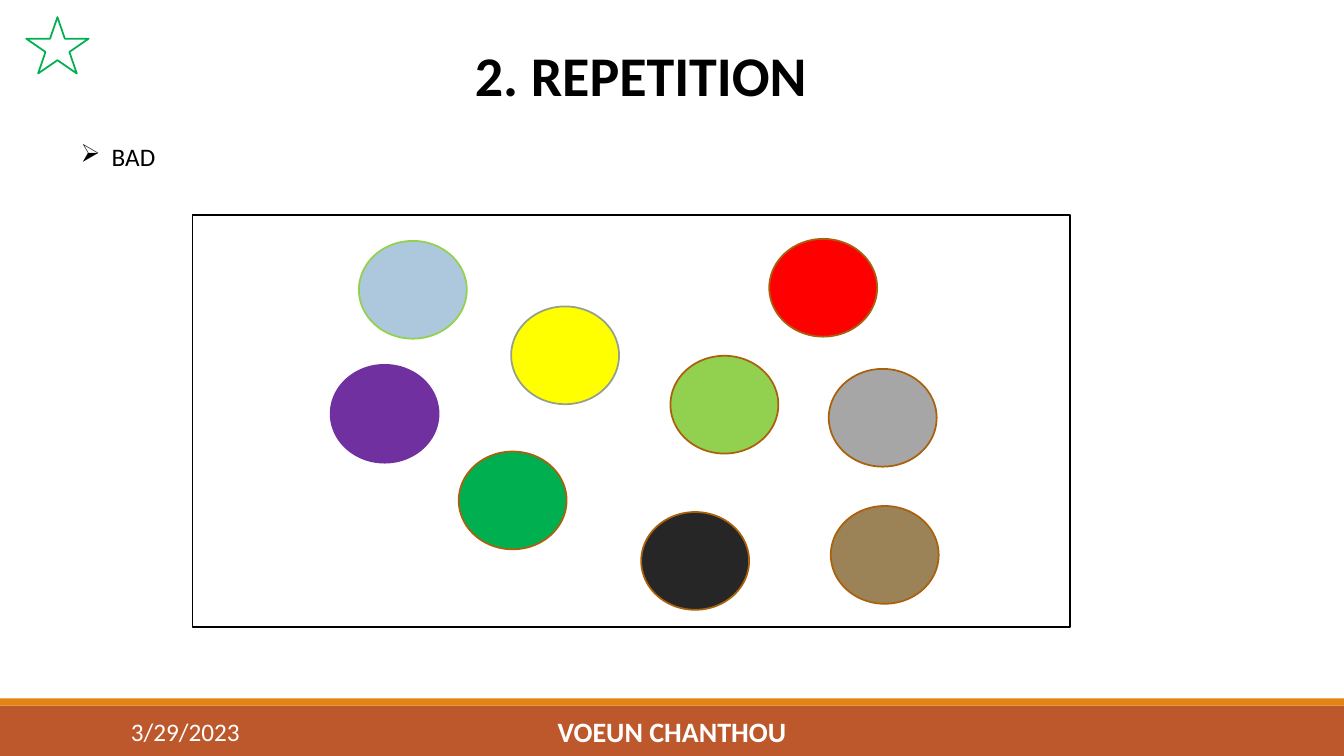
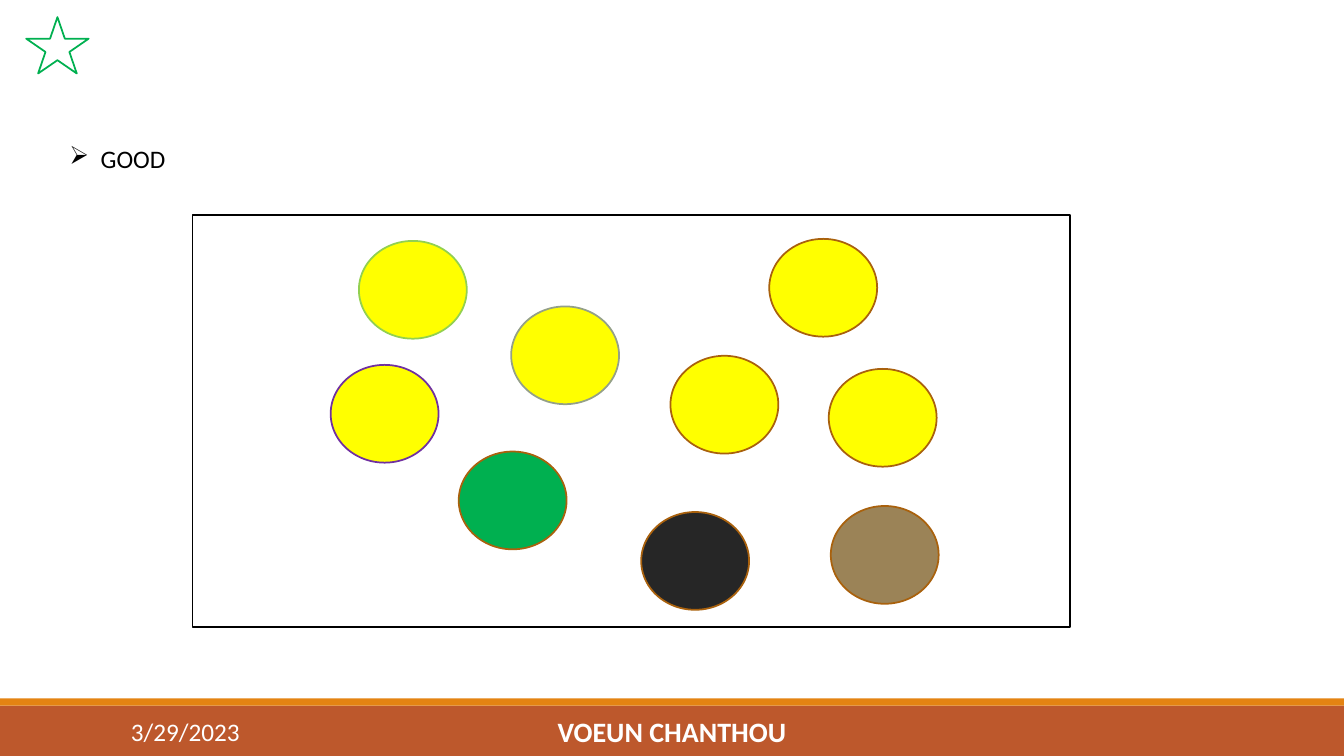
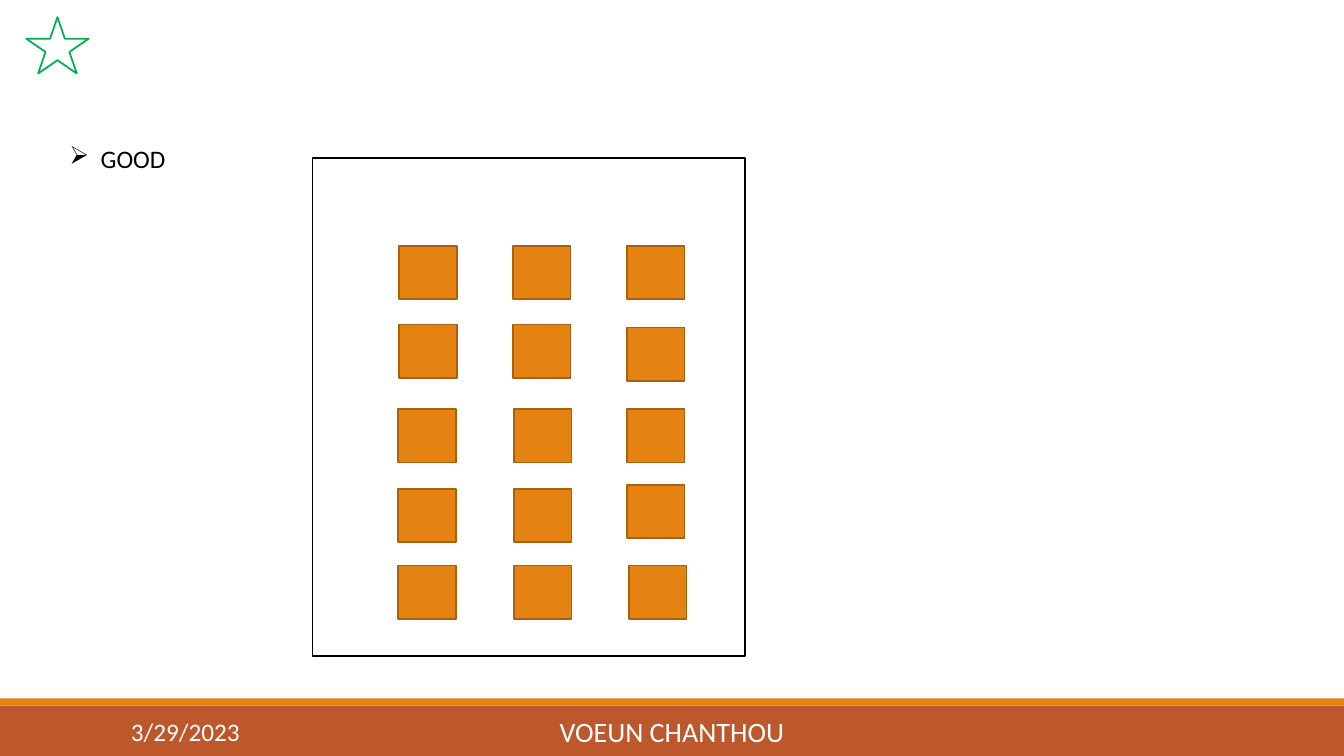
from dataclasses import dataclass
from typing import NamedTuple

from lxml import etree
from pptx import Presentation
from pptx.dml.color import RGBColor
from pptx.enum.shapes import MSO_SHAPE
from pptx.enum.text import MSO_ANCHOR, MSO_AUTO_SIZE, PP_ALIGN
from pptx.oxml.ns import qn
from pptx.shapes.autoshape import Shape
from pptx.slide import Slide
from pptx.util import Inches, Pt

RECTANGLE, OVAL, STAR = MSO_SHAPE.RECTANGLE, MSO_SHAPE.OVAL, MSO_SHAPE.STAR_5_POINT
LEFT, CENTER = PP_ALIGN.LEFT, PP_ALIGN.CENTER
TOP, MIDDLE = MSO_ANCHOR.TOP, MSO_ANCHOR.MIDDLE
FIT_SHAPE, NO_FIT = MSO_AUTO_SIZE.SHAPE_TO_FIT_TEXT, MSO_AUTO_SIZE.NONE
TITLE_ONLY, BLANK = 5, 6


@dataclass(frozen=True)
class Theme:
    """Colours, font, type sizes and line width of the deck."""

    font: str = "Calibri"
    title_size: float = 40
    name_size: float = 20
    body_size: float = 18
    line_width: float = 1.25
    white: str = "FFFFFF"
    black: str = "000000"
    rust: str = "BD582C"
    orange: str = "E48312"
    brown: str = "A9610D"
    green: str = "00B050"
    lime: str = "92D050"
    yellow: str = "FFFF00"
    purple: str = "7030A0"
    sage: str = "94A088"
    khaki: str = "9B8357"
    charcoal: str = "262626"
    gray: str = "A6A6A6"
    sky: str = "ADC8DD"
    red: str = "FF0000"


THEME = Theme()


class Area(NamedTuple):
    """Left, top, width and height in inches."""

    left: float
    top: float
    width: float
    height: float


class Circle(NamedTuple):
    """A circle's place, its colours and whether it joins the repetition."""

    left: float
    top: float
    fill: str
    line: str
    repeats: bool


class SquareRow(NamedTuple):
    """Left and top edges of the squares in one row."""

    lefts: tuple[float, ...]
    tops: tuple[float, ...]


CIRCLE_SIZE = (1.07, 0.97)
SQUARE_SIZE = (0.57, 0.53)
CIRCLE_FRAME = Area(1.91, 2.13, 8.7, 4.09)
SQUARE_FRAME = Area(3.1, 1.57, 4.29, 4.94)
BAD_AREA = Area(0.7, 1.35, 1.98, 0.4)
GOOD_AREA = Area(0.59, 1.37, 1.83, 0.4)

CIRCLES = (
    Circle(4.55, 4.48, THEME.green, THEME.brown, False),
    Circle(8.24, 5.02, THEME.khaki, THEME.brown, False),
    Circle(6.36, 5.08, THEME.charcoal, THEME.brown, False),
    Circle(8.22, 3.66, THEME.gray, THEME.brown, True),
    Circle(3.28, 3.62, THEME.purple, THEME.purple, True),
    Circle(3.56, 2.39, THEME.sky, THEME.lime, True),
    Circle(5.07, 3.04, THEME.yellow, THEME.sage, True),
    Circle(6.65, 3.53, THEME.lime, THEME.brown, True),
    Circle(7.63, 2.37, THEME.red, THEME.brown, True),
)

SQUARE_ROWS = (
    SquareRow((3.96, 5.09, 6.22), (2.44, 2.44, 2.44)),
    SquareRow((3.96, 5.09, 6.22), (3.22, 3.22, 3.25)),
    SquareRow((3.95, 5.1, 6.22), (4.06, 4.06, 4.06)),
    SquareRow((3.95, 5.1, 6.22), (4.85, 4.85, 4.81)),
    SquareRow((3.95, 5.1, 6.24), (5.61, 5.61, 5.61)),
)


def draw_shape(page: Slide, kind: MSO_SHAPE, area: Area, fill: str, line: str = "") -> None:
    """Draw a filled shape, outlined when a line colour is given."""
    shape = page.shapes.add_shape(kind, *map(Inches, area))
    shape.shadow.inherit = False
    shape.fill.solid()
    shape.fill.fore_color.rgb = RGBColor.from_string(fill)
    if line:
        shape.line.color.rgb = RGBColor.from_string(line)
        shape.line.width = Pt(THEME.line_width)
    else:
        shape.line.fill.background()


def write_text(box: Shape, text: str, *, size: float, color: str = THEME.black,
               bold: bool = False, align: PP_ALIGN = LEFT,
               anchor: MSO_ANCHOR = TOP, fit: MSO_AUTO_SIZE = FIT_SHAPE) -> None:
    """Write one formatted paragraph into a box."""
    frame = box.text_frame
    frame.word_wrap = True
    frame.auto_size = fit
    frame.vertical_anchor = anchor
    para = frame.paragraphs[0]
    para.alignment = align
    span = para.add_run()
    span.text = text
    span.font.name = THEME.font
    span.font.size = Pt(size)
    span.font.bold = bold
    span.font.color.rgb = RGBColor.from_string(color)


def add_box(page: Slide, area: Area) -> Shape:
    """Add an empty text box."""
    return page.shapes.add_textbox(*map(Inches, area))


def draw_bullet(page: Slide, area: Area, text: str) -> None:
    """Draw a line of text with an arrowhead bullet."""
    box = add_box(page, area)
    write_text(box, text, size=THEME.body_size)
    properties = box.text_frame.paragraphs[0]._p.get_or_add_pPr()
    indent = Inches(0.31)
    properties.set("marL", str(indent))
    properties.set("indent", str(-indent))
    etree.SubElement(properties, qn("a:buChar")).set("char", "\u27a2")


def draw_title(page: Slide, text: str) -> None:
    """Place and write the title placeholder."""
    title = page.shapes.title
    title.left, title.top, title.width, title.height = map(
        Inches, Area(4.61, 0.35, 3.58, 0.77))
    write_text(title, text, size=THEME.title_size, bold=True)


def draw_furniture(page: Slide, bold_name: bool) -> None:
    """Draw the footer bands, date, name and corner star."""
    draw_shape(page, RECTANGLE, Area(0, 7, 13.33, 0.5), THEME.rust)
    draw_shape(page, RECTANGLE, Area(0, 6.93, 13.33, 0.07), THEME.orange)
    write_text(add_box(page, Area(1.2, 7.06, 2.7, 0.4)), "3/29/2023",
               size=THEME.body_size, color=THEME.white, anchor=MIDDLE, fit=NO_FIT)
    write_text(add_box(page, Area(4.03, 7.06, 5.27, 0.4)), "VOEUN CHANTHOU",
               size=THEME.name_size, color=THEME.white, bold=bold_name,
               align=CENTER, anchor=MIDDLE, fit=NO_FIT)
    draw_shape(page, STAR, Area(0.26, 0.17, 0.62, 0.56), THEME.white, THEME.green)


def draw_circles(page: Slide, repeated_fill: str = "") -> None:
    """Draw the framed circles, giving the repeating ones a shared fill."""
    draw_shape(page, RECTANGLE, CIRCLE_FRAME, THEME.white, THEME.black)
    for circle in CIRCLES:
        fill = repeated_fill if repeated_fill and circle.repeats else circle.fill
        draw_shape(page, OVAL, Area(circle.left, circle.top, *CIRCLE_SIZE),
                   fill, circle.line)


def draw_squares(page: Slide) -> None:
    """Draw the framed rows of squares."""
    draw_shape(page, RECTANGLE, SQUARE_FRAME, THEME.white, THEME.black)
    for row in SQUARE_ROWS:
        for left, top in zip(row.lefts, row.tops):
            draw_shape(page, RECTANGLE, Area(left, top, *SQUARE_SIZE),
                       THEME.orange, THEME.brown)


def main() -> None:
    """Build and save the deck."""
    deck = Presentation()
    deck.slide_width, deck.slide_height = Inches(13.33), Inches(7.5)
    layouts = deck.slide_layouts

    bad_page = deck.slides.add_slide(layouts[TITLE_ONLY])
    draw_furniture(bad_page, bold_name=True)
    draw_title(bad_page, "2. REPETITION")
    draw_bullet(bad_page, BAD_AREA, "BAD")
    draw_circles(bad_page)

    good_page = deck.slides.add_slide(layouts[BLANK])
    draw_furniture(good_page, bold_name=True)
    draw_bullet(good_page, GOOD_AREA, "GOOD")
    draw_circles(good_page, THEME.yellow)

    grid_page = deck.slides.add_slide(layouts[BLANK])
    draw_furniture(grid_page, bold_name=False)
    draw_squares(grid_page)
    draw_bullet(grid_page, GOOD_AREA, "GOOD")

    deck.save("out.pptx")


main()
